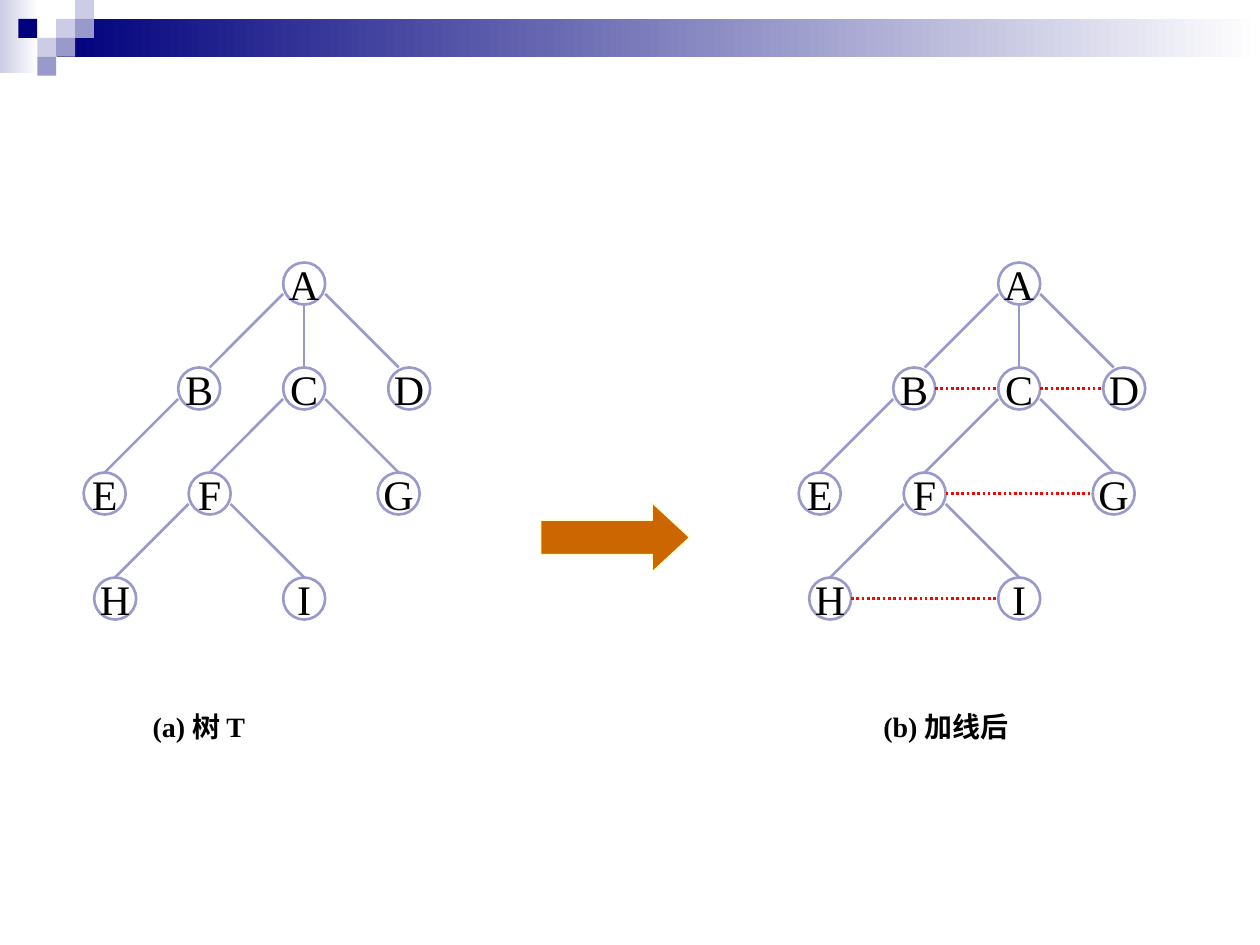
from lxml import etree
from pptx import Presentation
from pptx.dml.color import RGBColor
from pptx.enum import dml, shapes, text
from pptx.oxml.ns import qn
from pptx.util import Pt

NAVY = RGBColor(0x00, 0x00, 0x7D)
LILAC = RGBColor(0x99, 0x99, 0xCC)
PALE_LILAC = RGBColor(0xCC, 0xCC, 0xE6)
WHITE = RGBColor(0xFF, 0xFF, 0xFF)
BLACK = RGBColor(0x00, 0x00, 0x00)
RED = RGBColor(0xFF, 0x00, 0x00)
ORANGE = RGBColor(0xCC, 0x66, 0x00)
CREAM = RGBColor(0xFF, 0xFF, 0xCC)

RADIUS = 12
LEVEL = 60  # distance between the centres of two tree levels
ROOT_Y = 162
CELL = 10.8  # side of one square in the header mosaic

# Node: (offset from the root's centre, level)
NODES = {
    "A": (0, 0), "B": (-60, 1), "C": (0, 1), "D": (60, 1),
    "E": (-114, 2), "F": (-54, 2), "G": (54, 2), "H": (-108, 3), "I": (0, 3),
}
EDGES = ["AB", "AC", "AD", "BE", "CF", "CG", "FH", "FI"]
SIBLINGS = ["BC", "CD", "FG", "HI"]

# Header squares: (column, row, colour)
MOSAIC = [
    (3, 1, PALE_LILAC), (4, 0, PALE_LILAC), (4, 1, LILAC), (2, 2, PALE_LILAC),
    (1, 1, NAVY), (3, 2, LILAC), (2, 3, LILAC),
]


def write(shape, words, size=24, bold=False, wrap=True,
          anchor=text.MSO_ANCHOR.TOP):
    frame = shape.text_frame
    frame.word_wrap = wrap
    frame.vertical_anchor = anchor
    paragraph = frame.paragraphs[0]
    paragraph.text = words
    paragraph.alignment = text.PP_ALIGN.CENTER
    font = paragraph.font
    font.name, font.size, font.bold = "Times New Roman", Pt(size), bold
    font.color.rgb = BLACK


def add_figure(slide, kind, left, top, width, height, fill,
               fade_to=None, outline=None, weight=1.5):
    figure = slide.shapes.add_shape(
        kind, Pt(left), Pt(top), Pt(width), Pt(height))
    figure.shadow.inherit = False
    if fade_to is None:
        figure.fill.solid()
        figure.fill.fore_color.rgb = fill
    else:
        figure.fill.gradient()
        figure.fill.gradient_angle = 0
        for stop, color in zip(figure.fill.gradient_stops, (fill, fade_to)):
            stop.color.rgb = color
    if outline is None:
        figure.line.fill.background()
    else:
        figure.line.color.rgb = outline
        figure.line.width = Pt(weight)
    return figure


def add_line(slide, start, end, color, dash=None):
    line = slide.shapes.add_connector(
        shapes.MSO_CONNECTOR.STRAIGHT, *map(Pt, start + end))
    line.line.color.rgb = color
    line.line.width = Pt(1.5)
    if dash is not None:
        line.line.dash_style = dash
    etree.SubElement(line._element.spPr, qn("a:effectLst"))


def add_header(slide):
    rect = shapes.MSO_SHAPE.RECTANGLE
    add_figure(slide, rect, 0, 0, 22, 42, PALE_LILAC, fade_to=WHITE)
    add_figure(slide, rect, 3 * CELL, CELL, 720 - 3 * CELL, 2 * CELL, NAVY,
               fade_to=WHITE)
    for column, row, color in MOSAIC:
        add_figure(slide, rect, column * CELL - 0.3, row * CELL, CELL, CELL,
                   color)


def add_tree(slide, root_x, sibling_links=()):
    centers = {name: (root_x + offset, ROOT_Y + level * LEVEL)
               for name, (offset, level) in NODES.items()}

    # Circles
    for name, (x, y) in centers.items():
        node = add_figure(slide, shapes.MSO_SHAPE.OVAL, x - RADIUS, y - RADIUS,
                          2 * RADIUS, 2 * RADIUS, WHITE, outline=LILAC)
        write(node, name, wrap=False, anchor=text.MSO_ANCHOR.MIDDLE)

    # Branches: straight down, or at 45 degrees from the side of the parent
    for parent, child in EDGES:
        x, y = centers[parent]
        child_x, child_y = centers[child]
        bottom = child_y - RADIUS
        if child_x == x:
            start, end = (x, y + RADIUS), (x, bottom)
        else:
            side = 1 if child_x > x else -1
            start = (x + side * RADIUS, y + RADIUS / 2)
            end = (start[0] + side * (bottom - start[1]), bottom)
        add_line(slide, start, end, LILAC)

    # Dotted links between siblings
    for left, right in sibling_links:
        (left_x, y), (right_x, _) = centers[left], centers[right]
        add_line(slide, (left_x + RADIUS, y), (right_x - RADIUS, y), RED,
                 dash=dml.MSO_LINE.ROUND_DOT)


def add_caption(slide, words, left):
    caption = slide.shapes.add_textbox(Pt(left), Pt(402), Pt(132), Pt(26.6))
    write(caption, words, size=16, bold=True)


def main():
    deck = Presentation()
    deck.slide_width, deck.slide_height = Pt(720), Pt(540)
    slide = deck.slides.add_slide(deck.slide_layouts[6])

    add_header(slide)

    # Tree before and after the links are added
    add_tree(slide, 173.8)
    add_caption(slide, "(a) 树 T", 47.6)
    add_tree(slide, 582.4, SIBLINGS)
    add_caption(slide, "(b) 加线后", 474.4)

    # Arrow from the first tree to the second
    arrow = add_figure(slide, shapes.MSO_SHAPE.RIGHT_ARROW, 309, 287.4, 85,
                       39.4, ORANGE, outline=CREAM, weight=0.75)
    arrow.adjustments[0], arrow.adjustments[1] = 0.5, 0.54

    deck.save("out.pptx")


if __name__ == "__main__":
    main()
